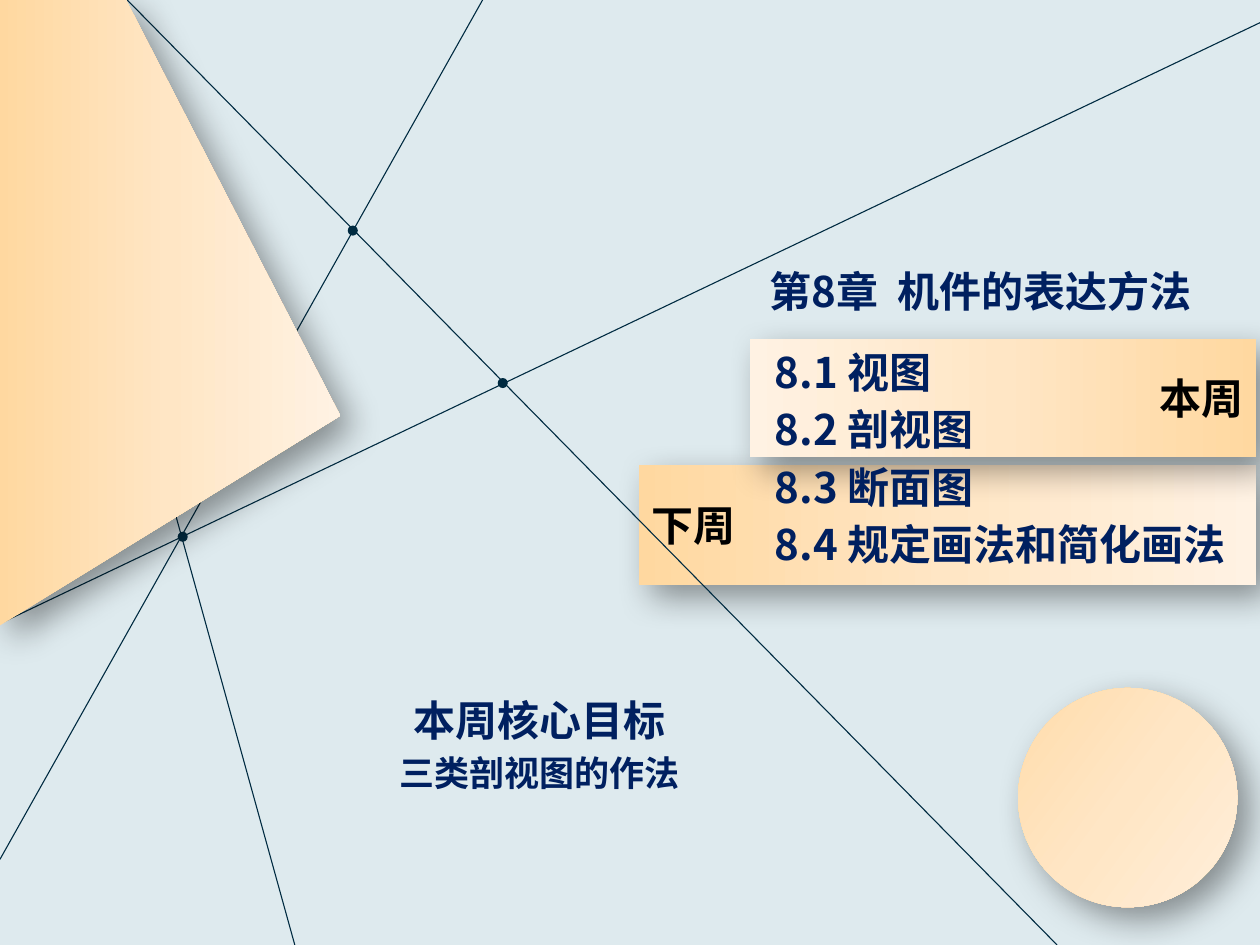
from lxml import etree
from pptx import Presentation
from pptx import util as u
from pptx.dml.color import RGBColor
from pptx.enum import shapes, text
from pptx.oxml import parse_xml
from pptx.oxml.ns import nsdecls, qn

FONT = "Noto Sans CJK SC"
BACKDROP = RGBColor(0xDE, 0xEA, 0xEE)
INK = RGBColor(0x00, 0x2B, 0x41)
NAVY = RGBColor(0x00, 0x20, 0x60)
BLACK = RGBColor(0x00, 0x00, 0x00)
PEACHES = (RGBColor(0xFF, 0xD8, 0xA0), RGBColor(0xFF, 0xE6, 0xC5),
           RGBColor(0xFF, 0xF2, 0xE3))

deck = Presentation()
deck.slide_width, deck.slide_height = u.Inches(10), u.Inches(7.5)
CELL = deck.slide_width // 100  # square grid: 100 columns by 75 rows
page = deck.slides.add_slide(deck.slide_layouts[5])
page.background.fill.solid()
page.background.fill.fore_color.rgb = BACKDROP


def style_paper(shape, angle):
    """Give a shape the peach gradient (degrees clockwise) and a soft shadow."""
    shape.line.fill.background()
    stops = "".join(f'<a:gs pos="{i * 50000}"><a:srgbClr val="{peach}"/></a:gs>'
                    for i, peach in enumerate(PEACHES))
    outline = shape._element.spPr.find(qn("a:ln"))
    outline.addprevious(parse_xml(
        f'<a:gradFill {nsdecls("a")} rotWithShape="1"><a:gsLst>{stops}</a:gsLst>'
        f'<a:lin ang="{angle * 60000}" scaled="0"/></a:gradFill>'))
    outline.addnext(parse_xml(
        f'<a:effectLst {nsdecls("a")}><a:outerShdw blurRad="{u.Pt(20)}" '
        f'dist="{u.Pt(10)}" dir="2700000" algn="tl" rotWithShape="0">'
        f'<a:srgbClr val="{BLACK}"><a:alpha val="40000"/></a:srgbClr>'
        '</a:outerShdw></a:effectLst>'))


def add_span(para, words, color, size=24):
    span = para.add_run()
    span.text = words
    span.font.size, span.font.bold, span.font.name = u.Pt(size), True, FONT
    span.font.color.rgb = color
    east_asian = etree.SubElement(span._r.get_or_add_rPr(), qn("a:ea"))
    east_asian.set("typeface", FONT)


# Week bands
for place, angle, words, align in (
        ((50.7, 36.9, 49, 9.5), 0, "下周", text.PP_ALIGN.LEFT),
        ((59.5, 26.9, 40.2, 9.4), 180, "本周", text.PP_ALIGN.RIGHT)):
    band = page.shapes.add_shape(shapes.MSO_SHAPE.RECTANGLE,
                                 *[round(CELL * v) for v in place])
    style_paper(band, angle)
    band.text_frame.vertical_anchor = text.MSO_ANCHOR.MIDDLE
    para = band.text_frame.paragraphs[0]
    para.alignment = align
    add_span(para, words, BLACK)

# Net of lines and knots
for ends in ((83.9, 75, 10.1, 0), (38.3, 0, 0, 68.2),
             (100, 1.8, 0.2, 49.4), (23.4, 75, 4.8, 7.9)):
    thread = page.shapes.add_connector(shapes.MSO_CONNECTOR.STRAIGHT,
                                       *[round(CELL * v) for v in ends])
    thread.line.color.rgb = INK
    thread.line.width = u.Pt(0.63)
    etree.SubElement(thread._element.spPr, qn("a:effectLst"))

KNOT = 0.8
for x, y in ((28, 18.3), (14.5, 42.6), (39.9, 30.4)):
    knot = page.shapes.add_shape(
        shapes.MSO_SHAPE.OVAL,
        *[round(CELL * v) for v in (x - KNOT / 2, y - KNOT / 2, KNOT, KNOT)])
    knot.shadow.inherit = False
    knot.fill.solid()
    knot.fill.fore_color.rgb = INK
    knot.line.fill.background()

# Tilted sheet and disc
corners = [(round(CELL * x), round(CELL * y)) for x, y in
           ((10, 0), (-0.1, 0), (-0.1, 49.7), (27, 33))]
outline = page.shapes.build_freeform(*corners[0])
outline.add_line_segments(corners[1:], close=True)
style_paper(outline.convert_to_shape(), 0)

disc = page.shapes.add_shape(
    shapes.MSO_SHAPE.OVAL, *[round(CELL * v) for v in (80.8, 54.6, 17.4, 17.4)])
disc.rotation = 216.4
style_paper(disc, 180)

# Chapter title, section list and weekly goal
sections = ("8.1 视图", "8.2 剖视图", "8.3 断面图", "8.4 规定画法和简化画法")
blocks = [(page.shapes.title, (60.1, 20.6, 41.4, 5), text.PP_ALIGN.LEFT,
           [("第8章  机件的表达方法", 24)])]
for row, section in enumerate(sections):
    blocks.append((page.shapes.add_textbox(0, 0, 0, 0),
                   (60.5, 27 + 4.55 * row, 39.5, 5), text.PP_ALIGN.LEFT,
                   [(section, 24)]))
blocks.append((page.shapes.add_textbox(0, 0, 0, 0), (18.7, 54.6, 48.3, 10.1),
               text.PP_ALIGN.CENTER, [("本周核心目标", 24), ("三类剖视图的作法", 20)]))

for box, place, align, lines in blocks:
    box.left, box.top, box.width, box.height = [round(CELL * v) for v in place]
    frame = box.text_frame
    frame.word_wrap = True
    frame.auto_size = text.MSO_AUTO_SIZE.NONE
    frame.vertical_anchor = text.MSO_ANCHOR.TOP
    for i, (words, size) in enumerate(lines):
        para = frame.add_paragraph() if i else frame.paragraphs[0]
        para.alignment = align
        para.space_before = u.Pt(4 if i else 0)
        add_span(para, words, NAVY, size)

deck.save("out.pptx")
